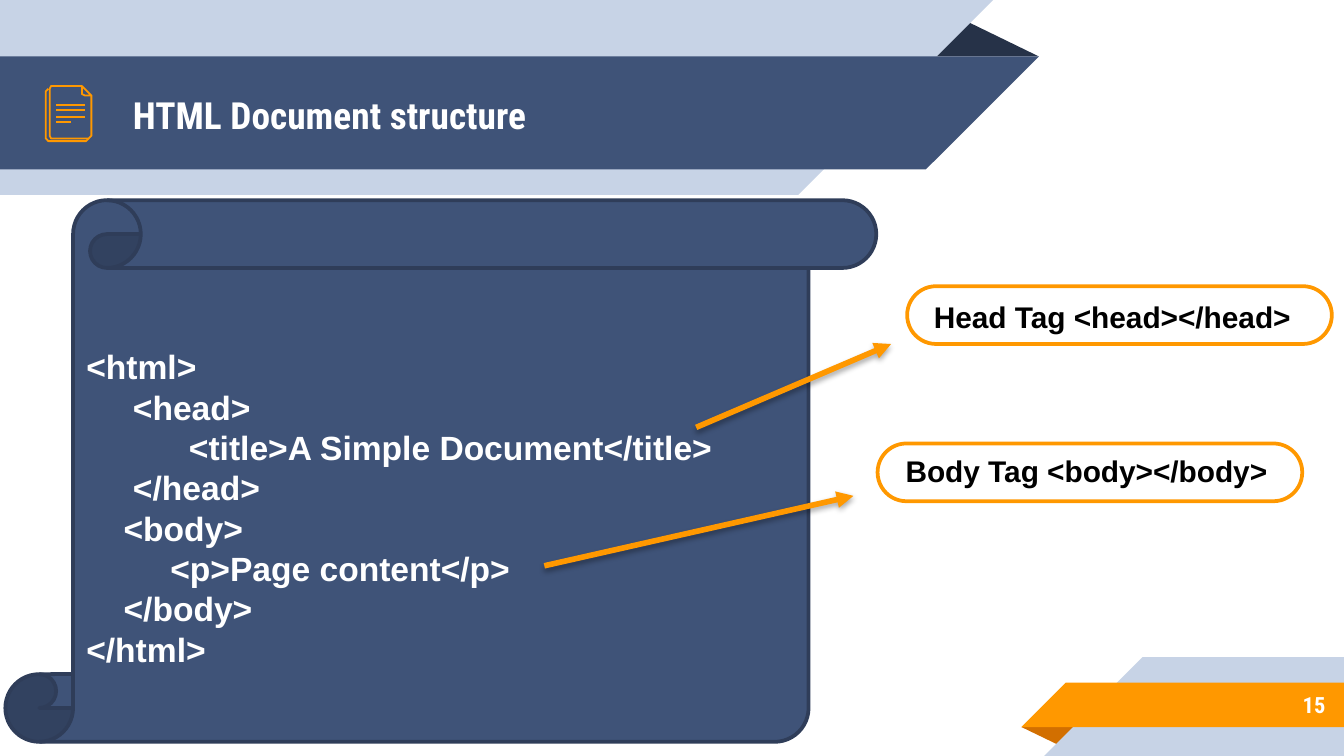
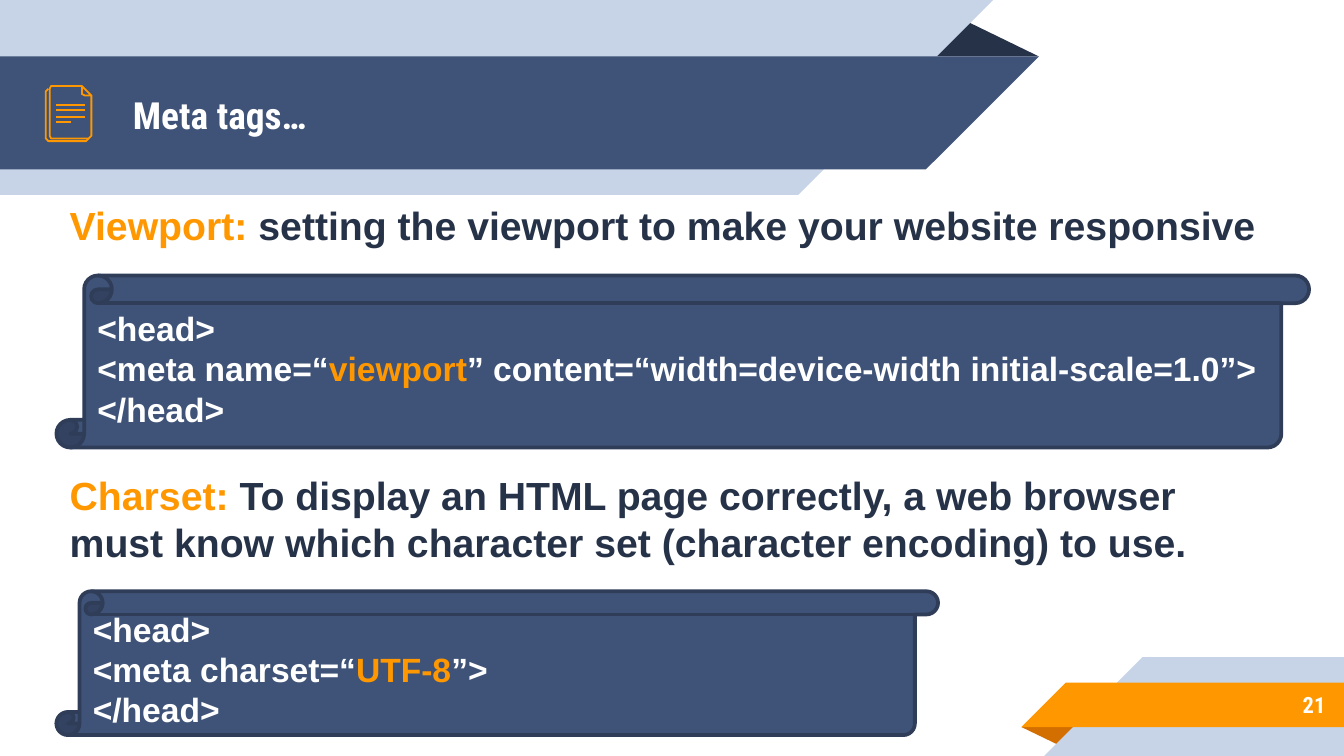
from lxml.etree import SubElement
from pptx import Presentation
from pptx.dml.color import RGBColor
from pptx.enum.shapes import MSO_CONNECTOR, MSO_SHAPE
from pptx.enum.text import MSO_ANCHOR, PP_ALIGN
from pptx.oxml.ns import qn
from pptx.util import Inches, Pt

COLOURS = {
    "navy": "3F5378", "ink": "263248", "edge": "2F3D59", "pale": "C7D3E6",
    "orange": "FF9800", "rust": "D26F00", "white": "FFFFFF", "black": "000000",
}
RGB = {name: RGBColor.from_string(value) for name, value in COLOURS.items()}
BODY_FONT, TITLE_FONT = "Arial", "Roboto Condensed"

# Grid of square cells: 100 columns by 56.25 rows
deck = Presentation()
deck.slide_width, deck.slide_height = Inches(10), Inches(5.625)
CELL = deck.slide_width // 100
COLUMNS, ROWS = 100, 56.25
SPACE = Pt(5)  # one code indent step, a space at 18 points


def outline(slide, points, fill=None, line=None, close=True):
    """Draw an outline through grid points."""
    corners = [(x * CELL, y * CELL) for x, y in points]
    builder = slide.shapes.build_freeform(*corners[0])
    builder.add_line_segments(corners[1:], close=close)
    shape = builder.convert_to_shape()
    shape.shadow.inherit = False
    if fill:
        shape.fill.solid()
        shape.fill.fore_color.rgb = RGB[fill]
    else:
        shape.fill.background()
    if line:
        shape.line.color.rgb = RGB[line]
        shape.line.width = Pt(0.96)
    else:
        shape.line.fill.background()


def write(shape, paragraphs, size, font=BODY_FONT, align=PP_ALIGN.LEFT,
          anchor=MSO_ANCHOR.MIDDLE):
    """Fill a shape with paragraphs of (indent steps, [(text, colour), ...])."""
    frame = shape.text_frame
    frame.word_wrap = True
    frame.vertical_anchor = anchor
    for number, (steps, pieces) in enumerate(paragraphs):
        paragraph = frame.add_paragraph() if number else frame.paragraphs[0]
        paragraph.alignment = align
        if steps:
            paragraph._p.get_or_add_pPr().set("marL", str(steps * SPACE))
        for text, colour in pieces:
            run = paragraph.add_run()
            run.text = text
            run.font.size, run.font.name, run.font.bold = Pt(size), font, True
            run.font.color.rgb = RGB[colour]


# Shared bands, from back to front
BANDS = [
    ("ink", [(68.8, 4.2), (71.55, 1.4), (77.3, 4.2)]),
    ("pale", [(0, 0), (73.9, 0), (59.4, 14.5), (0, 14.5)]),
    ("navy", [(0, 4.2), (77.3, 4.2), (68.9, 12.6), (0, 12.6)]),
    ("rust", [(76, 54.1), (80.3, 54.1), (78.9, 55.5)]),
    ("pale", [(85, 48.9), (COLUMNS, 48.9), (COLUMNS, ROWS), (77.7, ROWS)]),
    ("orange", [(79.3, 50.8), (COLUMNS, 50.8), (COLUMNS, 54.1), (76, 54.1)]),
]

# Document icon: back sheet, front sheet, text lines, folded corner
BACK_SHEET = [(3.6, 6.6), (3.4, 6.8), (3.4, 10.3), (3.6, 10.5), (6.4, 10.5), (6.6, 10.3)]
FRONT_SHEET = [(6.8, 7.1), (6.8, 10.1), (6.6, 10.3), (3.8, 10.3), (3.7, 10.1),
               (3.7, 6.6), (3.8, 6.4), (6.1, 6.4)]
ICON_LINES = [[(right, y), (4.2, y)] for right, y in ((6.3, 7.8), (6.3, 8.2), (6.3, 8.7), (5.3, 9.1))]
FOLD = [(6.1, 6.4), (6.8, 7.1), (6.3, 7.1), (6.1, 7)]

# Slides with header, icon, title and page number
slides = []
for title, page in (("HTML Document structure", "15"), ("Meta tags…", "21")):
    slide = deck.slides.add_slide(deck.slide_layouts[6])
    slides.append(slide)
    for colour, points in BANDS:
        outline(slide, points, fill=colour)
    for text, box, size, align in (
        (page, (83.3, 50.7, 16.3, 3.5), 12, PP_ALIGN.RIGHT),
        (title, (8.9, 4.3, 57.5, 8.4), 20, PP_ALIGN.LEFT),
    ):
        label = slide.shapes.add_textbox(*(int(n * CELL) for n in box))
        frame = label.text_frame
        frame.margin_left = frame.margin_right = CELL
        frame.margin_top = frame.margin_bottom = CELL
        write(label, [(0, [(text, "white")])], size, TITLE_FONT, align)
    for stroke in [BACK_SHEET, FRONT_SHEET, *ICON_LINES]:
        outline(slide, stroke, line="orange", close=False)
    outline(slide, FOLD, line="orange")
structure, meta = slides

# Code scrolls: slide, box, roll size, extra top margin, code lines
PAGE_CODE = [(steps, [(code, "white")]) for steps, code in (
    (0, "<html>"),
    (5, "<head>"),
    (11, "<title>A Simple Document</title>"),
    (5, "</head>"),
    (4, "<body>"),
    (9, "<p>Page content</p>"),
    (4, "</body>"),
    (0, "</html>"),
)]
HEAD_OPEN, HEAD_CLOSE = (0, [("<head>", "white")]), (0, [("</head>", "white")])
VIEWPORT_CODE = [HEAD_OPEN, (0, [
    ("<meta name=“", "white"), ("viewport", "orange"),
    ("” content=“width=device-width initial-scale=1.0”>", "white"),
]), HEAD_CLOSE]
CHARSET_CODE = [HEAD_OPEN, (0, [
    ("<meta charset=“", "white"), ("UTF-8", "orange"), ("”>", "white"),
]), HEAD_CLOSE]
for slide, box, roll, drop, code in (
    (structure, (0.4, 14.9, 64.8, 40.3), 0.125, 2.9, PAGE_CODE),
    (meta, (4.2, 20.5, 93.2, 12.8), 0.161, 0, VIEWPORT_CODE),
    (meta, (4.2, 44, 65.6, 10.7), 0.161, 0, CHARSET_CODE),
):
    scroll = slide.shapes.add_shape(
        MSO_SHAPE.VERTICAL_SCROLL, *(int(n * CELL) for n in box))
    scroll.adjustments[0] = roll
    scroll.shadow.inherit = False
    scroll.fill.solid()
    scroll.fill.fore_color.rgb = RGB["navy"]
    scroll.line.color.rgb = RGB["edge"]
    scroll.line.width = Pt(2)
    scroll.text_frame.margin_top = int((0.5 + drop) * CELL)
    write(scroll, code, 18)

# Arrows from the code to the tag labels
for ends in ((51.8, 31.8, 66.3, 25.6), (40.5, 42.1, 63.5, 36.9)):
    arrow = structure.shapes.add_connector(
        MSO_CONNECTOR.STRAIGHT, *(int(n * CELL) for n in ends))
    arrow.line.color.rgb = RGB["orange"]
    arrow.line.width = Pt(3)
    SubElement(arrow.line._get_or_add_ln(), qn("a:tailEnd"), type="triangle")
    effects = SubElement(arrow._element.spPr, qn("a:effectLst"))
    shadow = SubElement(effects, qn("a:outerShdw"), blurRad=str(Pt(3.1)),
                        dist=str(Pt(1.8)), dir="5400000", rotWithShape="0")
    tint = SubElement(shadow, qn("a:srgbClr"), val=COLOURS["black"])
    SubElement(tint, qn("a:alpha"), val="35000")

# Tag labels in rounded frames
for text, text_box, pill_at in (
    ("Head Tag <head></head>", (68.5, 21.7, 29.9, 3.7), (67.5, 21.3)),
    ("Body Tag <body></body>", (66.4, 33.2, 33.6, 3.7), (65.3, 33)),
):
    tag = structure.shapes.add_textbox(*(int(n * CELL) for n in text_box))
    write(tag, [(0, [(text, "black")])], 16, anchor=MSO_ANCHOR.TOP)
    pill = structure.shapes.add_shape(
        MSO_SHAPE.ROUNDED_RECTANGLE, *(int(n * CELL) for n in (*pill_at, 31.6, 4.3)))
    pill.adjustments[0] = 0.5
    pill.shadow.inherit = False
    pill.fill.background()
    pill.line.color.rgb = RGB["orange"]
    pill.line.width = Pt(2)

# Meta tag explanations
for term, meaning, top, height in (
    ("Viewport: ", "setting the viewport to make your website responsive", 14.5, 4.5),
    ("Charset: ", "To display an HTML page correctly, a web browser must know "
     "which character set (character encoding) to use.", 34.6, 8.1),
):
    explanation = meta.shapes.add_textbox(
        *(int(n * CELL) for n in (4.2, top, 90.9, height)))
    write(explanation, [(0, [(term, "orange"), (meaning, "ink")])], 21,
          anchor=MSO_ANCHOR.TOP)

deck.save("out.pptx")
